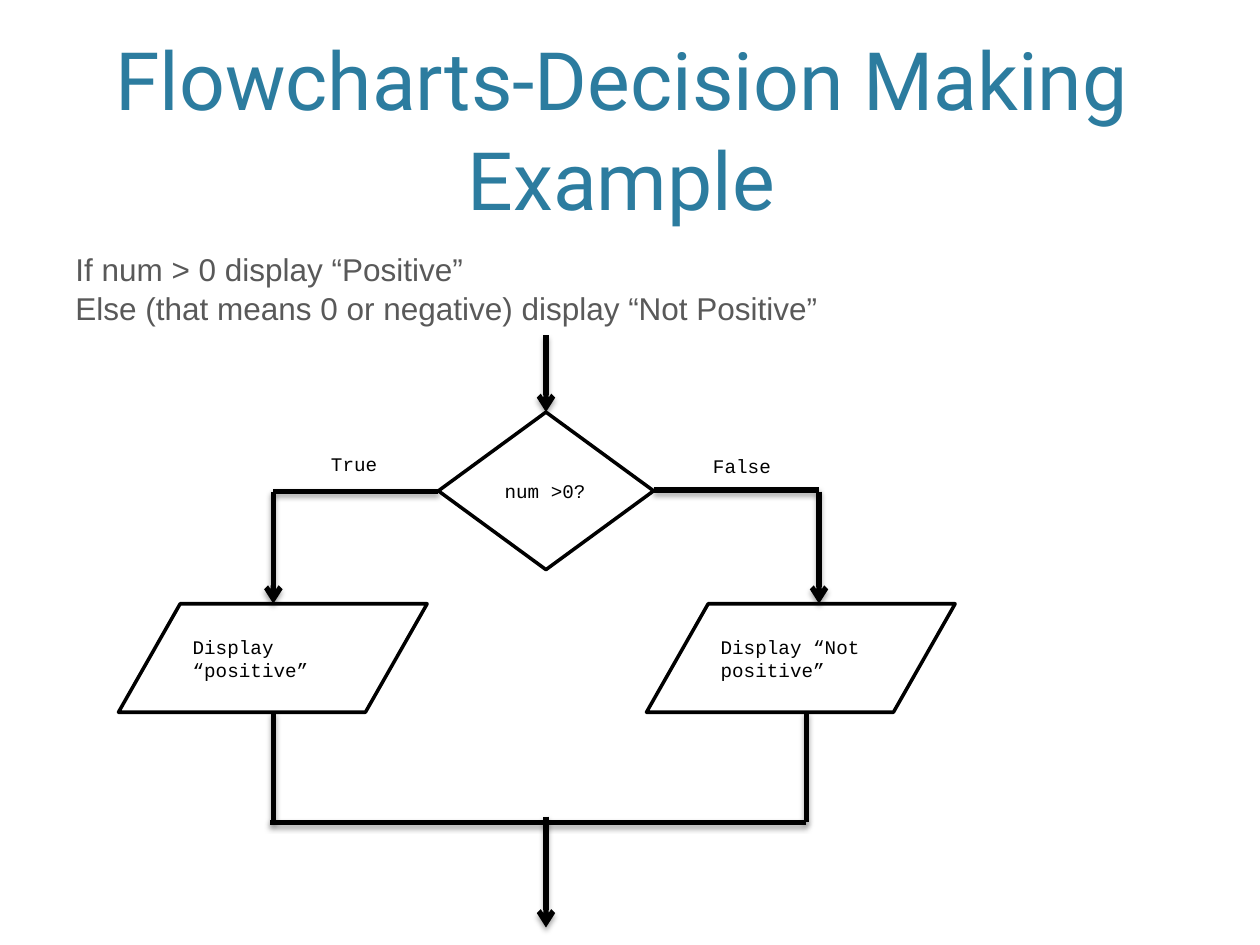
from pptx import Presentation
from pptx.dml.color import RGBColor
from pptx.enum.shapes import MSO_CONNECTOR, MSO_SHAPE
from pptx.enum.text import MSO_ANCHOR, PP_ALIGN
from pptx.oxml import parse_xml
from pptx.oxml.ns import nsdecls, qn
from pptx.util import Pt

SHADOW = (
    f'<a:effectLst {nsdecls("a")}><a:outerShdw blurRad="{Pt(3.1)}" dist="{Pt(1.8)}" '
    'dir="5400000" rotWithShape="0"><a:srgbClr val="000000"><a:alpha val="35000"/>'
    '</a:srgbClr></a:outerShdw></a:effectLst>'
)
ARROW = f'<a:tailEnd {nsdecls("a")} type="arrow"/>'


def rgb(value):
    return RGBColor.from_string(value)


class FlowSlide:
    """Draws flowchart elements on one slide in a shared style, in points."""

    ink = "000000"
    paper = "FFFFFF"
    code_font = "Courier New"
    code_size = 11

    def __init__(self, s):
        self.s = s

    def set_text(self, tf, text, font, size, color, align, anchor, spacing=1.0):
        tf.text = text
        tf.vertical_anchor = anchor
        for p in tf.paragraphs:
            p.alignment = align
            p.line_spacing = spacing
            for r in p.runs:
                r.font.name = font
                r.font.size = Pt(size)
                r.font.color.rgb = rgb(color)

    def text(self, box, text, font, size, color, align=PP_ALIGN.LEFT,
             anchor=MSO_ANCHOR.TOP, spacing=1.0):
        tf = self.s.shapes.add_textbox(*map(Pt, box)).text_frame
        tf.word_wrap = True
        self.set_text(tf, text, font, size, color, align, anchor, spacing)

    def label(self, x, y, text):
        self.text((x, y, 88, 30), text, self.code_font, self.code_size, self.ink,
                  PP_ALIGN.CENTER, MSO_ANCHOR.MIDDLE)

    def node(self, kind, box, text, wrap=True):
        sp = self.s.shapes.add_shape(kind, *map(Pt, box))
        sp.shadow.inherit = False
        sp.fill.solid()
        sp.fill.fore_color.rgb = rgb(self.paper)
        sp.line.color.rgb = rgb(self.ink)
        sp.line.width = Pt(2)
        sp.text_frame.word_wrap = wrap
        self.set_text(sp.text_frame, text, self.code_font, self.code_size, self.ink,
                      PP_ALIGN.LEFT, MSO_ANCHOR.MIDDLE)

    def line(self, x1, y1, x2, y2, arrow=False):
        c = self.s.shapes.add_connector(MSO_CONNECTOR.STRAIGHT, *map(Pt, (x1, y1, x2, y2)))
        c.line.color.rgb = rgb(self.ink)
        c.line.width = Pt(3)
        props = c._element.spPr
        if arrow:
            props.find(qn("a:ln")).append(parse_xml(ARROW))
        props.append(parse_xml(SHADOW))


def main():
    prs = Presentation()
    prs.slide_width, prs.slide_height = Pt(720), Pt(540)
    flow = FlowSlide(prs.slides.add_slide(prs.slide_layouts[6]))

    flow.text((-28, 28, 766, 105), "Flowcharts-Decision Making Example", "Roboto", 46,
              "2C7C9F", PP_ALIGN.CENTER, MSO_ANCHOR.BOTTOM, 1.03)
    flow.text((36, 138, 636.5, 62.6),
              "If num > 0 display “Positive”\n"
              "Else (that means 0 or negative) display “Not Positive”",
              "Arial", 18, "595959", spacing=1.05)

    middle, true_x, false_x, join_x = 312, 156.2, 468, 460.8
    top, branch_y, box_y, box_h, join_y = 235.5, 281, 345, 62, 470
    half_w = 61.5

    flow.line(middle, 191.5, middle, top, arrow=True)
    flow.node(MSO_SHAPE.FLOWCHART_DECISION, (middle - half_w, top, 2 * half_w, 90),
              "num >0?", wrap=False)
    flow.line(middle - half_w, branch_y, true_x, branch_y)
    flow.line(middle + half_w, branch_y - 1, false_x, branch_y - 1)

    for x, text in ((67.7, "Display “positive”"), (369.4, "Display “Not positive”")):
        flow.node(MSO_SHAPE.FLOWCHART_DATA, (x, box_y, 176.4, box_h), text)
    for x in (true_x, false_x):
        flow.line(x, branch_y, x, box_y, arrow=True)
    for x in (true_x, join_x):
        flow.line(x, box_y + box_h, x, join_y)

    flow.line(join_x, join_y, true_x - 2, join_y)
    flow.line(middle, 466.6, middle, 530, arrow=True)

    flow.label(158.4, 250, "True")
    flow.label(380, 251.5, "False")
    prs.save("out.pptx")


if __name__ == "__main__":
    main()
